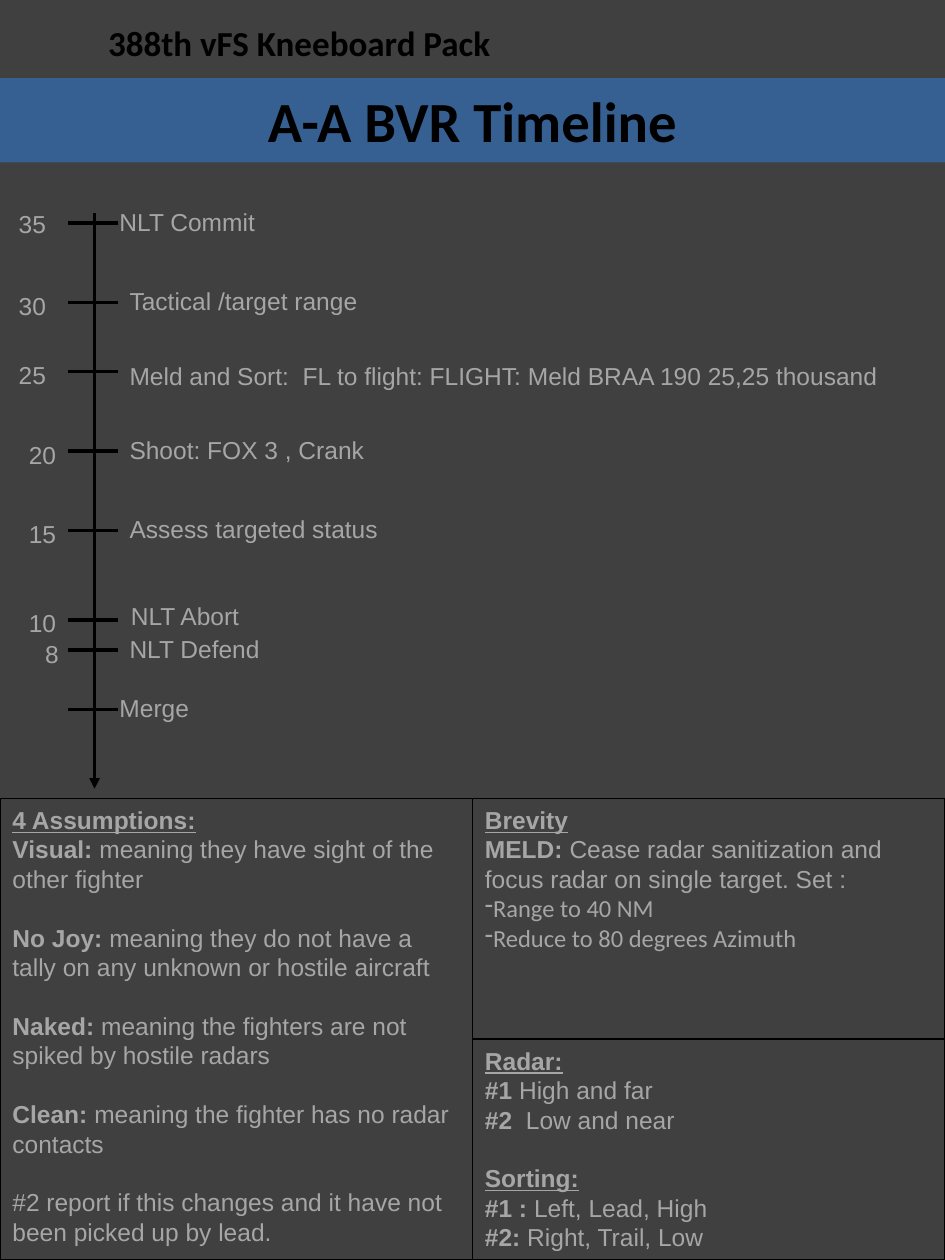
from dataclasses import dataclass

from lxml import etree
from pptx import Presentation
from pptx import util as u
from pptx.dml import color
from pptx.enum import shapes, text
from pptx.oxml import ns

BLACK, GREY, BLUE, DARK = "000000", "A6A6A6", "376092", "404040"
LINE_HEIGHT = u.Pt(16.8)


@dataclass
class Entry:
    """A panel paragraph: bold lead, plain body and its look."""
    lead: str = ""
    body: str = ""
    heading: bool = False
    gap: bool = False
    bullet: str = ""
    font: str = "Arial"


@dataclass
class Event:
    """A timeline mark: offset, range label and event label."""
    offset: float
    distance: str
    distance_left: float
    label: str
    label_left: float = 0.93
    distance_rise: float = 0.14
    label_rise: float = 0.18


EVENTS = [
    Event(0.08, "35", 0.05, "NLT Commit", 0.85, distance_rise=0.16),
    Event(0.71, "30", 0.05, "Tactical /target range"),
    Event(1.26, "25", 0.05, "Meld and Sort:  FL to flight: FLIGHT: Meld BRAA 190 25,25 thousand",
          label_rise=0.13),
    Event(1.89, "20", 0.13, "Shoot: FOX 3 , Crank"),
    Event(2.52, "15", 0.13, "Assess targeted status"),
    Event(3.23, "10", 0.13, "NLT Abort", 0.94, label_rise=0.2),
    Event(3.47, "8", 0.26, "NLT Defend"),
    Event(3.94, "", 0, "Merge", 0.85),
]

ASSUMPTIONS = [
    Entry("4 Assumptions:", heading=True),
    Entry("Visual: ", "meaning they have sight of the other fighter"),
    Entry("No Joy: ", "meaning they do not have a tally on any unknown or hostile aircraft", gap=True),
    Entry("Naked: ", "meaning the fighters are not spiked by hostile radars", gap=True),
    Entry("Clean: ", "meaning the fighter has no radar contacts", gap=True),
    Entry(body="#2 report if this changes and it have not been picked up by lead.", gap=True),
]

BREVITY = [
    Entry("Brevity", heading=True),
    Entry("MELD: ", "Cease radar sanitization and focus radar on single target. Set :"),
    Entry(body="Range to 40 NM", bullet="-", font="Calibri"),
    Entry(body="Reduce to 80 degrees Azimuth", bullet="-", font="Calibri"),
]

RADAR = [
    Entry("Radar:", heading=True),
    Entry("#1 ", "High and far"),
    Entry("#2  ", "Low and near"),
    Entry("Sorting:", heading=True, gap=True),
    Entry("#1 : ", "Left, Lead, High"),
    Entry("#2: ", "Right, Trail, Low"),
]


def rgb(value):
    """Turn a hex string into a colour."""
    return color.RGBColor.from_string(value)


def style_run(run, size, font, colour, bold=False, underline=False):
    """Set the font of a run."""
    run.font.size = u.Pt(size)
    run.font.name = font
    run.font.color.rgb = rgb(colour)
    run.font.bold = bold
    run.font.underline = underline


def add_label(slide, box, wording, size=14, font="Arial", colour=GREY, bold=False):
    """Add a one-paragraph text box."""
    shape = slide.shapes.add_textbox(*map(u.Inches, box))
    frame = shape.text_frame
    frame.text = wording
    frame.word_wrap = True
    style_run(frame.paragraphs[0].runs[0], size, font, colour, bold)
    return shape


def add_rectangle(slide, box, fill=None, line=None):
    """Add a plain rectangle with an optional fill and outline."""
    shape = slide.shapes.add_shape(shapes.MSO_SHAPE.RECTANGLE, *map(u.Inches, box))
    shape.shadow.inherit = False
    if fill:
        shape.fill.solid()
        shape.fill.fore_color.rgb = rgb(fill)
    else:
        shape.fill.background()
    if line:
        shape.line.color.rgb = rgb(line)
        shape.line.width = u.Pt(0.75)
    else:
        shape.line.fill.background()
    return shape


def add_line(group, start, end, arrow=False):
    """Add a black straight line, optionally ending in an arrowhead."""
    line = group.shapes.add_connector(
        shapes.MSO_CONNECTOR.STRAIGHT, *map(u.Inches, (*start, *end)))
    line.line.color.rgb = rgb(BLACK)
    line.line.width = u.Pt(2)
    if arrow:
        etree.SubElement(line.line._get_or_add_ln(), ns.qn("a:tailEnd"), type="triangle")
    etree.SubElement(line._element.spPr, ns.qn("a:effectLst"))


def add_header(slide, box):
    """Place the pack name above the title band."""
    left, top, width, height = box
    pack = add_label(slide, (left + 0.76, top, 4.41, 0.67),
                     "388th vFS Kneeboard Pack", 20, "Calibri", BLACK, True)
    pack.text_frame.vertical_anchor = text.MSO_ANCHOR.MIDDLE
    band = add_rectangle(slide, (left, top + height - 0.67, width, 0.67), fill=BLUE)
    frame = band.text_frame
    frame.text = "A-A BVR Timeline"
    frame.vertical_anchor = text.MSO_ANCHOR.MIDDLE
    frame.paragraphs[0].alignment = text.PP_ALIGN.CENTER
    style_run(frame.paragraphs[0].runs[0], 32.4, "Calibri", BLACK, True)


def add_timeline(slide, box, events):
    """Draw the vertical axis with its ticks, ranges and events."""
    left, top, width, height = box
    axis = left + 0.75
    group = slide.shapes.add_group_shape()
    add_line(group, (axis, top), (axis, top + height), arrow=True)
    for event in events:
        tick = top + event.offset
        add_line(group, (left + 0.54, tick), (left + 0.94, tick))
        add_label(slide, (left + event.label_left, tick - event.label_rise,
                          width - 1.06, 0.34), event.label)
        if event.distance:
            add_label(slide, (left + event.distance_left, tick - event.distance_rise,
                              0.55, 0.34), event.distance)


def add_panel(slide, box, entries):
    """Draw an outlined panel filled with entries."""
    frame = add_rectangle(slide, box, line=BLACK).text_frame
    frame.word_wrap = True
    frame.vertical_anchor = text.MSO_ANCHOR.TOP
    for index, entry in enumerate(entries):
        paragraph = frame.add_paragraph() if index else frame.paragraphs[0]
        paragraph.alignment = text.PP_ALIGN.LEFT
        paragraph.line_spacing = LINE_HEIGHT
        paragraph.space_before = LINE_HEIGHT if entry.gap else u.Pt(0)
        if entry.bullet:
            properties = paragraph._p.get_or_add_pPr()
            properties.set("marL", "0")
            properties.set("indent", "0")
            etree.SubElement(properties, ns.qn("a:buChar"), char=entry.bullet)
        for wording, bold in ((entry.lead, True), (entry.body, False)):
            if wording:
                run = paragraph.add_run()
                run.text = wording
                style_run(run, 14, entry.font, GREY, bold, entry.heading)


def main():
    """Build and save the kneeboard slide."""
    presentation = Presentation()
    presentation.slide_width, presentation.slide_height = u.Inches(7.5), u.Inches(10)
    slide = presentation.slides.add_slide(presentation.slide_layouts[6])
    slide.background.fill.solid()
    slide.background.fill.fore_color.rgb = rgb(DARK)
    add_header(slide, (0, 0, 7.5, 1.29))
    add_timeline(slide, (0, 1.69, 7.5, 4.57), EVENTS)
    add_panel(slide, (0, 6.34, 3.75, 3.66), ASSUMPTIONS)
    add_panel(slide, (3.75, 8.25, 3.75, 1.75), RADAR)
    add_panel(slide, (3.75, 6.34, 3.75, 1.9), BREVITY)
    presentation.save("out.pptx")


if __name__ == "__main__":
    main()
